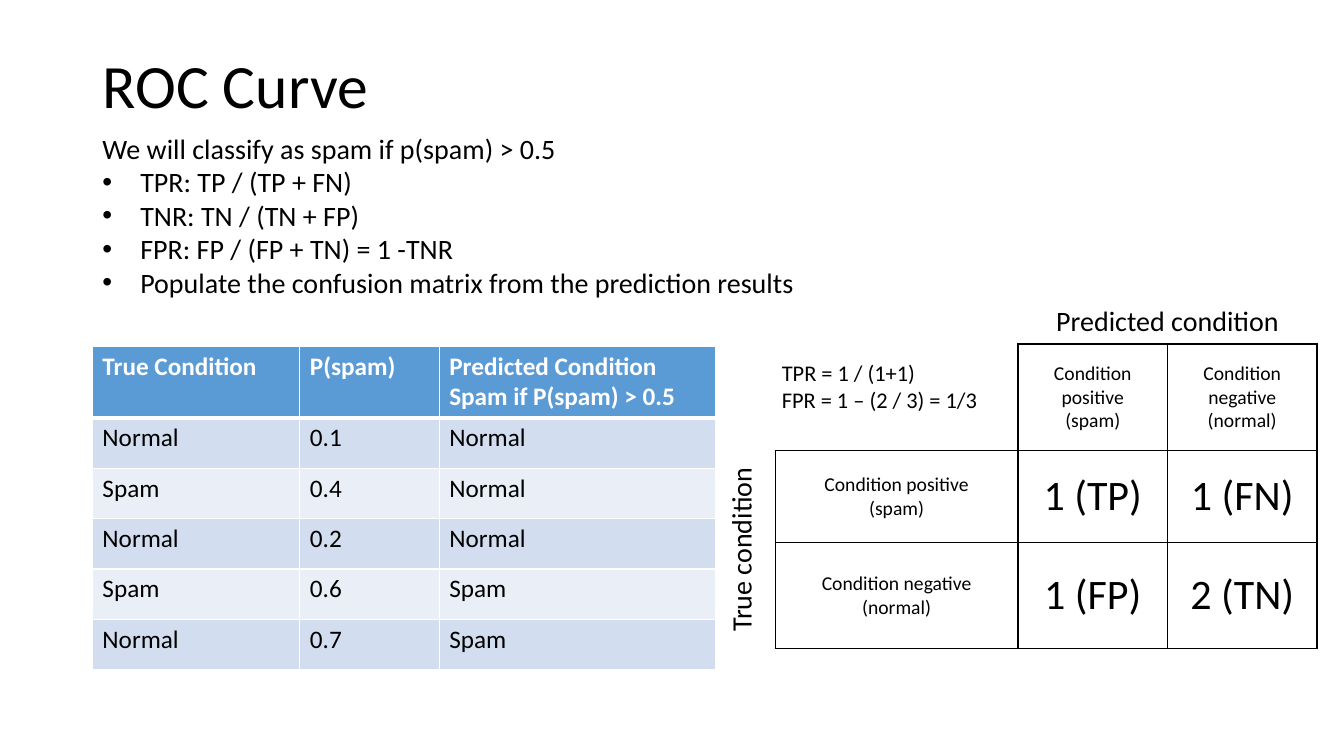
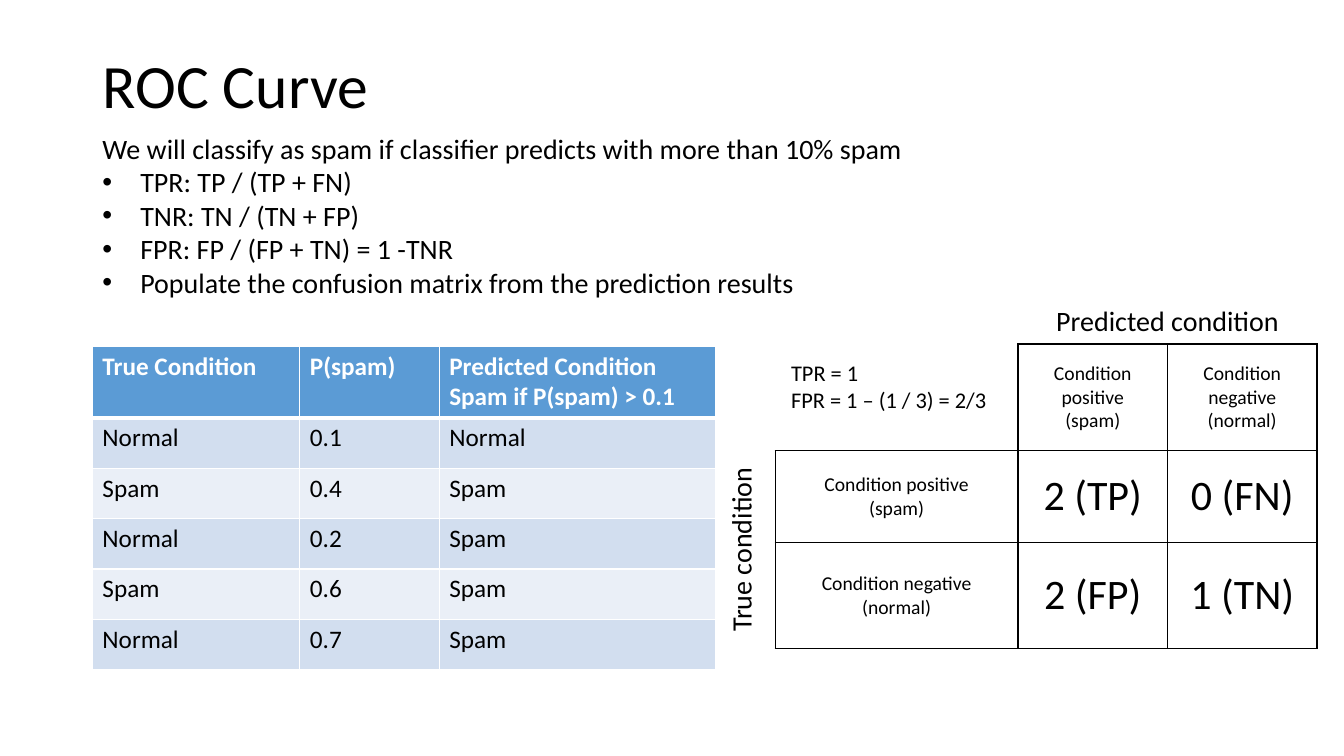
"""Build two ROC curve slides that compare spam thresholds of 0.5 and 0.1."""
import lxml.etree
import pptx
import pptx.dml.color
import pptx.enum.text
import pptx.oxml.ns
import pptx.util

FONT = "Calibri"
BLACK = pptx.dml.color.RGBColor(0x00, 0x00, 0x00)
WHITE = pptx.dml.color.RGBColor(0xFF, 0xFF, 0xFF)
BLUE = pptx.dml.color.RGBColor(0x5B, 0x9B, 0xD5)
BANDS = [pptx.dml.color.RGBColor(0xEA, 0xEF, 0xF7), pptx.dml.color.RGBColor(0xD2, 0xDE, 0xEF)]
LEFT = pptx.enum.text.PP_ALIGN.LEFT
CENTER = pptx.enum.text.PP_ALIGN.CENTER
MIDDLE = pptx.enum.text.MSO_ANCHOR.MIDDLE
QN = pptx.oxml.ns.qn
SIDES = {"L": (0, -1), "R": (0, 1), "T": (-1, 0), "B": (1, 0)}

MAILS = [("Normal", 0.1), ("Spam", 0.4), ("Normal", 0.2), ("Spam", 0.6), ("Normal", 0.7)]
FORMULAS = [
    "TPR: TP / (TP + FN)",
    "TNR: TN / (TN + FP)",
    "FPR: FP / (FP + TN) = 1 -TNR",
    "Populate the confusion matrix from the prediction results",
]
CASES = [
    (0.5, "We will classify as spam if p(spam) > 0.5",
     "TPR = 1 / (1+1)\nFPR = 1 – (2 / 3) = 1/3", 91.9),
    (0.1, "We will classify as spam if classifier predicts with more than 10% spam",
     "TPR = 1\nFPR = 1 – (1 / 3) = 2/3", 93),
]
POSITIVE = "Condition positive\n(spam)"
NEGATIVE = "Condition negative\n(normal)"
BOXED = {(r, c) for r in range(1, 4) for c in range(1, 4)} - {(1, 1)}


def style(tf, size, color=BLACK, bold=False, align=LEFT):
    for p in tf.paragraphs:
        p.alignment = align
        for r in p.runs:
            r.font.name = FONT
            r.font.size = pptx.util.Pt(size)
            r.font.bold = bold
            r.font.color.rgb = color


def border(cell, side, color, width):
    ln = lxml.etree.SubElement(cell._tc.get_or_add_tcPr(), QN(f"a:ln{side}"))
    if color is None:
        ln.set("w", "0")
        lxml.etree.SubElement(ln, QN("a:noFill"))
    else:
        ln.set("w", str(pptx.util.Pt(width)))
        fill = lxml.etree.SubElement(ln, QN("a:solidFill"))
        lxml.etree.SubElement(fill, QN("a:srgbClr")).set("val", str(color))


prs = pptx.Presentation()
prs.slide_width = pptx.util.Inches(13.33)
prs.slide_height = pptx.util.Inches(7.5)
COL = prs.slide_width / 160
ROW = prs.slide_height / 90

layout = prs.slide_layouts[1]
for ph, top, width, height in [(layout.placeholders[0], 4.8, 138, 11.4),
                               (layout.placeholders[1], 15, 122, 21.4)]:
    ph.left, ph.top = int(11 * COL), int(top * ROW)
    ph.width, ph.height = int(width * COL), int(height * ROW)

for threshold, rule, rates, rates_left in CASES:
    s = prs.slides.add_slide(layout)
    tf = s.shapes.title.text_frame
    tf.text = "ROC Curve"
    tf.vertical_anchor = MIDDLE
    tf.paragraphs[0].line_spacing = 0.9
    style(tf, 44)

    predicted = ["Spam" if chance > threshold else "Normal" for _, chance in MAILS]
    rows = [("True Condition", "P(spam)", f"Predicted Condition\nSpam if P(spam) > {threshold}")]
    rows += [(truth, str(chance), guess) for (truth, chance), guess in zip(MAILS, predicted)]
    widths, heights = [24.7, 16.6, 32.9], [8.4] + [6] * len(MAILS)
    table = s.shapes.add_table(len(rows), 3, int(11 * COL), int(41.2 * ROW),
                               int(sum(widths) * COL), int(sum(heights) * ROW)).table
    for c, width in enumerate(widths):
        table.columns[c].width = int(width * COL)
    for r, texts in enumerate(rows):
        table.rows[r].height = int(heights[r] * ROW)
        for c, text in enumerate(texts):
            cell = table.cell(r, c)
            for side in SIDES:
                border(cell, side, WHITE, 3 if (r, side) in [(0, "B"), (1, "T")] else 1)
            cell.fill.solid()
            cell.fill.fore_color.rgb = BANDS[r % 2] if r else BLUE
            cell.text_frame.text = text
            style(cell.text_frame, 18, BLACK if r else WHITE, r == 0)

    pairs = list(zip((truth for truth, _ in MAILS), predicted))
    tp, fn, fp, tn = [pairs.count((truth, guess)) for truth in ("Spam", "Normal")
                      for guess in ("Spam", "Normal")]
    grid = [
        ("", "", "Predicted condition", ""),
        ("", "", POSITIVE, NEGATIVE),
        ("True condition", POSITIVE, f"{tp} (TP)", f"{fn} (FN)"),
        ("", NEGATIVE, f"{fp} (FP)", f"{tn} (TN)"),
    ]
    widths, heights = [6.6, 28.9, 17.8, 17.8], [5.3, 12.7, 10.9, 12.7]
    matrix = s.shapes.add_table(4, 4, int(85.7 * COL), int(35.65 * ROW),
                                int(sum(widths) * COL), int(sum(heights) * ROW)).table
    matrix.first_row = matrix.horz_banding = False
    matrix.cell(0, 2).merge(matrix.cell(0, 3))
    matrix.cell(2, 0).merge(matrix.cell(3, 0))
    for r, texts in enumerate(grid):
        matrix.rows[r].height = int(heights[r] * ROW)
        matrix.columns[r].width = int(widths[r] * COL)
        for c, text in enumerate(texts):
            cell = matrix.cell(r, c)
            for side, (down, right) in SIDES.items():
                lined = BOXED & {(r, c), (r + down, c + right)}
                border(cell, side, BLACK if lined else None, 1)
            cell.fill.background()
            cell.vertical_anchor = MIDDLE
            cell.text_frame.text = text
            size = 20 if 0 in (r, c) else 14 if 1 in (r, c) else 30
            style(cell.text_frame, size, align=CENTER)
    matrix.cell(2, 0)._tc.get_or_add_tcPr().set("vert", "vert270")

    sp = s.shapes.add_textbox(int(rates_left * COL), int(42.2 * ROW), int(28 * COL), int(7.7 * ROW))
    sp.text_frame.word_wrap = True
    sp.text_frame.text = rates
    style(sp.text_frame, 16)

    tf = s.placeholders[1].text_frame
    tf.text = "\n".join([rule] + FORMULAS)
    tf.auto_size = pptx.enum.text.MSO_AUTO_SIZE.NONE
    style(tf, 20)
    for i, p in enumerate(tf.paragraphs):
        p.space_before = pptx.util.Pt(0)
        pPr = p._p.get_or_add_pPr()
        indent = int(4.5 * COL) if i else 0
        pPr.set("marL", str(indent))
        pPr.set("indent", str(-indent))
        if i:
            lxml.etree.SubElement(pPr, QN("a:buChar")).set("char", "•")
        else:
            lxml.etree.SubElement(pPr, QN("a:buNone"))

prs.save("out.pptx")
